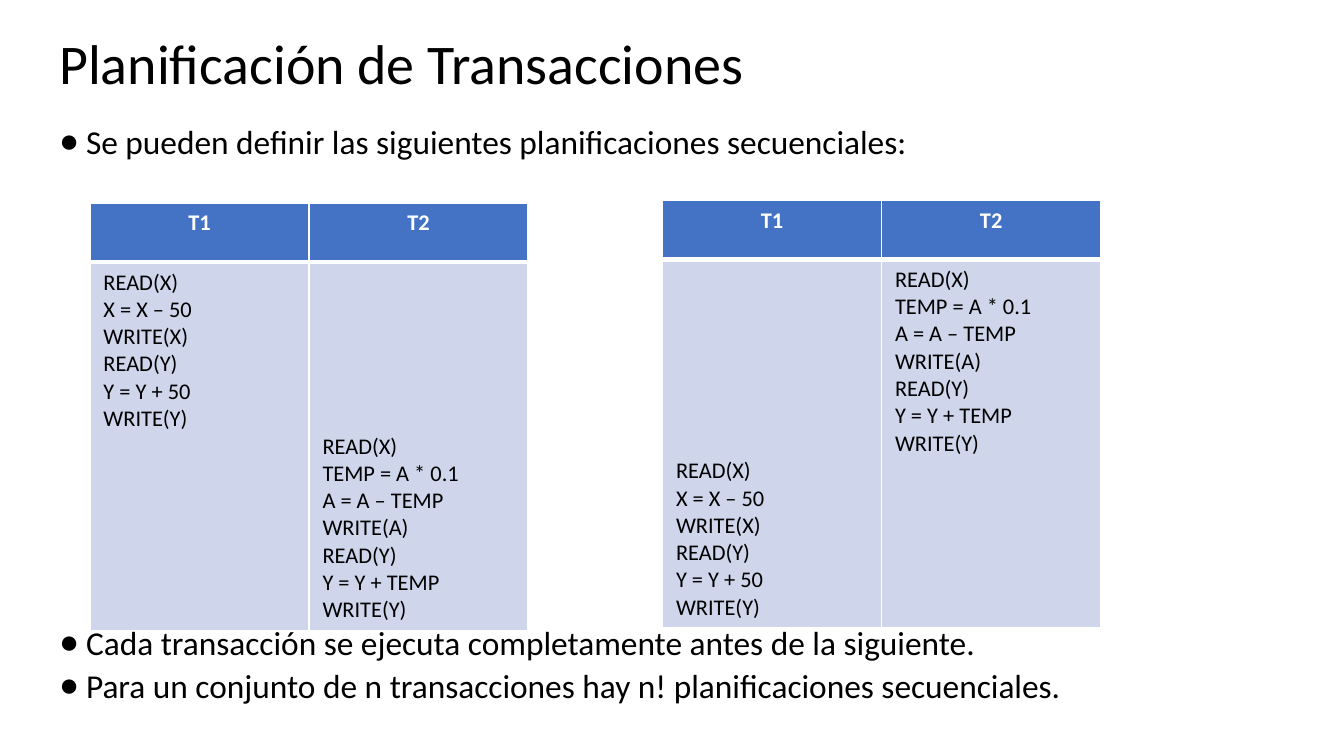
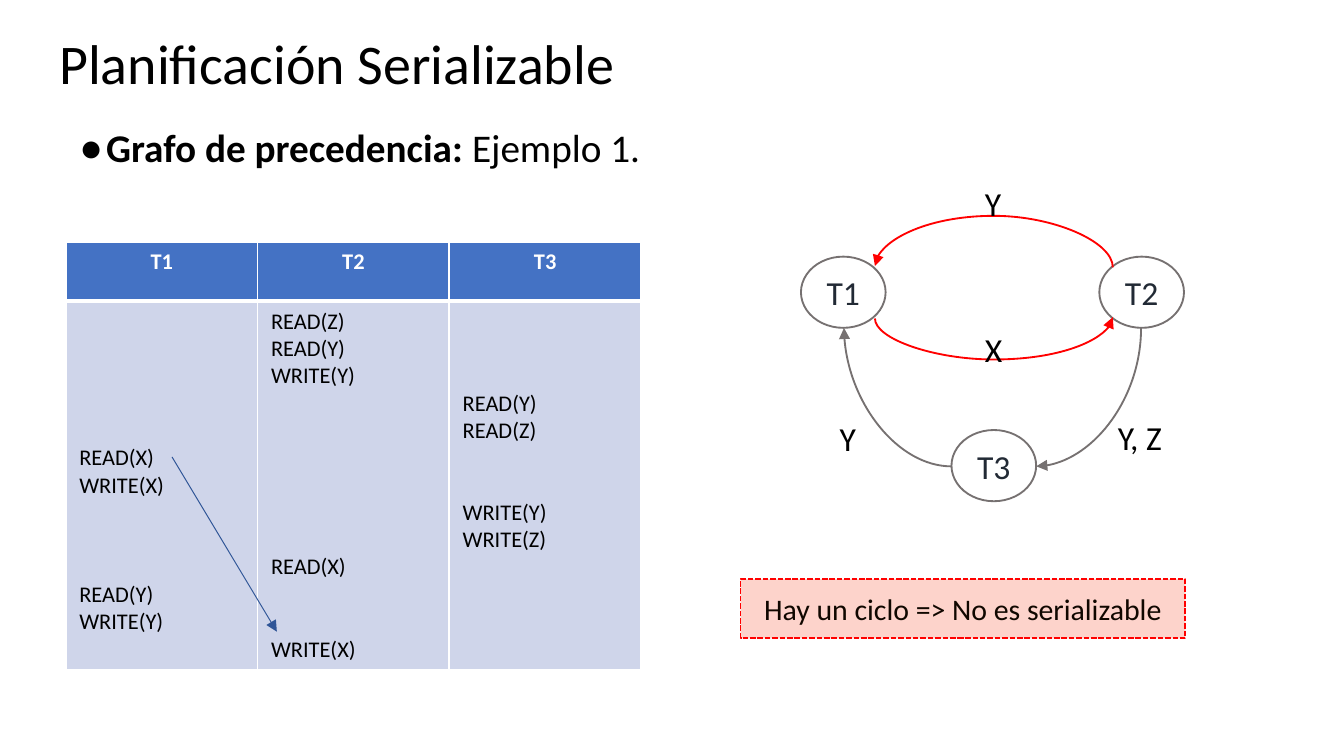
from lxml import etree
from pptx import Presentation
from pptx.dml.color import RGBColor
from pptx.enum.dml import MSO_LINE
from pptx.enum.shapes import MSO_CONNECTOR, MSO_SHAPE
from pptx.enum.text import MSO_ANCHOR, MSO_AUTO_SIZE, PP_ALIGN
from pptx.oxml.ns import qn
from pptx.util import Inches, Pt

BLACK = RGBColor(0x00, 0x00, 0x00)
WHITE = RGBColor(0xFF, 0xFF, 0xFF)
HEADER_BLUE = RGBColor(0x44, 0x72, 0xC4)
CELL_BLUE = RGBColor(0xCF, 0xD5, 0xEA)
ARROW_BLUE = RGBColor(0x2F, 0x55, 0x97)
NODE_GRAY = RGBColor(0x76, 0x71, 0x71)
NODE_TEXT = RGBColor(0x22, 0x2A, 0x35)
CYCLE_RED = RGBColor(0xFF, 0x00, 0x00)
VERDICT_FILL = RGBColor(0xFD, 0xD3, 0xCB)
VERDICT_TEXT = RGBColor(0x10, 0x07, 0x00)

CENTER, LEFT = PP_ALIGN.CENTER, PP_ALIGN.LEFT
MIDDLE, TOP = MSO_ANCHOR.MIDDLE, MSO_ANCHOR.TOP
FIXED_SIZE = MSO_AUTO_SIZE.NONE
OVAL, RECTANGLE = MSO_SHAPE.OVAL, MSO_SHAPE.RECTANGLE
STRAIGHT, CURVE = MSO_CONNECTOR.STRAIGHT, MSO_CONNECTOR.CURVE
DASHED = MSO_LINE.SQUARE_DOT

FONT = "Calibri"
LINE_PITCH = 14.65
HEADER_HEIGHT, STEPS_HEIGHT = 0.44, 2.74
PAD_X, PAD_Y = 0.1, 0.05
NODE_SIZE = (0.63, 0.53)
TRANSFER = ("READ(X)", "X = X – 50", "WRITE(X)", "READ(Y)", "Y = Y + 50", "WRITE(Y)")
PERCENT = ("READ(X)", "TEMP = A * 0.1", "A = A – TEMP", "WRITE(A)", "READ(Y)",
           "Y = Y + TEMP", "WRITE(Y)")


def style(paragraph, size, color=BLACK, bold=False, align=LEFT):
    paragraph.alignment = align
    for run in paragraph.runs:
        run.font.name = FONT
        run.font.size = Pt(size)
        run.font.bold = bold
        run.font.color.rgb = color


def place(shape, left, top, width, height):
    shape.left, shape.top = Inches(left), Inches(top)
    shape.width, shape.height = Inches(width), Inches(height)


def set_margins(frame, x, y):
    frame.margin_left = frame.margin_right = Inches(x)
    frame.margin_top = frame.margin_bottom = Inches(y)


def add_titled_slide(prs, title):
    slide = prs.slides.add_slide(prs.slide_layouts[1])
    heading = slide.shapes.title
    place(heading, 0.34, 0.17, 9.32, 0.69)
    frame = heading.text_frame
    frame.text = title
    frame.auto_size = FIXED_SIZE
    frame.vertical_anchor = TOP
    set_margins(frame, 0.1, 0.1)
    frame.paragraphs[0].line_spacing = 0.9
    style(frame.paragraphs[0], 30)
    return slide


def fill_list(slide, box, items, size, spacing):
    body = slide.placeholders[1]
    place(body, *box)
    frame = body.text_frame
    frame.text = "\n".join(text for text, _ in items)
    frame.auto_size = FIXED_SIZE
    frame.vertical_anchor = TOP
    set_margins(frame, 0.1, 0.1)
    for paragraph, (_, before) in zip(frame.paragraphs, items):
        props = paragraph._p.get_or_add_pPr()
        props.set("marL", str(Inches(0.2)))
        props.set("indent", str(Inches(-0.28)))
        etree.SubElement(props, qn("a:buChar")).set("char", "●")
        paragraph.line_spacing = spacing
        paragraph.space_before = Pt(before)
        style(paragraph, size)
    return frame.paragraphs


def set_borders(cell, top, bottom):
    props = cell._tc.get_or_add_tcPr()
    edges = (("L", 1), ("R", 1), ("T", top), ("B", bottom))
    for position, (edge, width) in enumerate(edges):
        line = etree.Element(qn(f"a:ln{edge}"), w=str(Pt(width)))
        fill = etree.SubElement(line, qn("a:solidFill"))
        etree.SubElement(fill, qn("a:srgbClr")).set("val", str(WHITE))
        props.insert(position, line)


def fill_cell(cell, text, color):
    cell.text_frame.text = text
    set_margins(cell, PAD_X, PAD_Y)
    cell.fill.solid()
    cell.fill.fore_color.rgb = color


def fill_steps(cell, blocks):
    fill_cell(cell, "\n".join(step for _, steps in blocks for step in steps), CELL_BLUE)
    set_borders(cell, 3, 1)
    paragraphs = iter(cell.text_frame.paragraphs)
    next_line = 0
    for start, steps in blocks:
        gap = Pt((start - next_line) * LINE_PITCH)
        for index, _ in enumerate(steps):
            paragraph = next(paragraphs)
            style(paragraph, 12)
            if index == 0 and next_line:
                paragraph.space_before = gap
            elif index == 0:
                cell.margin_top = Inches(PAD_Y) + gap
        next_line = start + len(steps)


def add_schedule(slide, left, top, width, columns):
    count = len(columns)
    table = slide.shapes.add_table(
        2, count, Inches(left), Inches(top), Inches(width),
        Inches(HEADER_HEIGHT + STEPS_HEIGHT)).table
    table.rows[0].height = Inches(HEADER_HEIGHT)
    table.rows[1].height = Inches(STEPS_HEIGHT)
    for index, blocks in enumerate(columns):
        table.columns[index].width = Inches(width / count)
        header = table.cell(0, index)
        fill_cell(header, f"T{index + 1}", HEADER_BLUE)
        set_borders(header, 1, 3)
        style(header.text_frame.paragraphs[0], 12, WHITE, True, CENTER)
        fill_steps(table.cell(1, index), blocks)


def add_box(slide, kind, box, text, size, color, line, fill=None):
    shape = slide.shapes.add_shape(kind, *(Inches(value) for value in box))
    shape.shadow.inherit = False
    if fill is None:
        shape.fill.background()
    else:
        shape.fill.solid()
        shape.fill.fore_color.rgb = fill
    shape.line.color.rgb = line
    shape.line.width = Pt(1)
    frame = shape.text_frame
    frame.text = text
    frame.vertical_anchor = MIDDLE
    set_margins(frame, PAD_X, PAD_Y)
    style(frame.paragraphs[0], size, color, align=CENTER)
    return shape


def add_label(slide, left, top, width, text):
    label = slide.shapes.add_textbox(Inches(left), Inches(top), Inches(width), Inches(0.34))
    frame = label.text_frame
    frame.word_wrap = False
    frame.text = text
    set_margins(frame, PAD_X, PAD_Y)
    style(frame.paragraphs[0], 18)


def add_arrow(slide, kind, start, end, color, width, arrow_end="tailEnd"):
    arrow = slide.shapes.add_connector(kind, *(Inches(value) for value in start + end))
    arrow.line.color.rgb = color
    arrow.line.width = Pt(width)
    line = arrow.line._get_or_add_ln()
    etree.SubElement(line, qn(f"a:{arrow_end}")).set("type", "triangle")
    etree.SubElement(arrow.element.spPr, qn("a:effectLst"))
    return arrow


def add_edge(slide, source, target, start, end, color, turn, bend=None,
             flip=False, arrow_end="tailEnd"):
    edge = add_arrow(slide, CURVE, start, end, color, 1, arrow_end)
    joints = edge.element.nvCxnSpPr.cNvCxnSpPr
    for tag, (node, site) in (("a:stCxn", source), ("a:endCxn", target)):
        joint = etree.SubElement(joints, qn(tag))
        joint.set("id", str(node.shape_id))
        joint.set("idx", str(site))
    width, height = abs(end[0] - start[0]), abs(end[1] - start[1])
    if turn in (90, 270):
        width, height = height, width
    place(edge, (start[0] + end[0] - width) / 2, (start[1] + end[1] - height) / 2,
          width, height)
    transform = edge.element.spPr.find(qn("a:xfrm"))
    for flag in ("flipH", "flipV"):
        transform.attrib.pop(flag, None)
    transform.set("rot", str(turn * 60000))
    if flip:
        transform.set("flipV", "1")
    geometry = edge.element.spPr.find(qn("a:prstGeom"))
    if bend is None:
        geometry.set("prst", "curvedConnector2")
    else:
        guide = etree.SubElement(geometry.find(qn("a:avLst")), qn("a:gd"))
        guide.set("name", "adj1")
        guide.set("fmla", f"val {bend * 100000}")


def build_sequential(prs):
    slide = add_titled_slide(prs, "Planificación de Transacciones")
    fill_list(slide, (0.34, 0.86, 9.32, 4.67), [
        ("Se pueden definir las siguientes planificaciones secuenciales:", 0),
        ("Cada transacción se ejecuta completamente antes de la siguiente.", 251),
        ("Para un conjunto de n transacciones hay n! planificaciones secuenciales.", 6),
    ], 17.9, 0.8)
    add_schedule(slide, 0.67, 1.51, 3.26, [[(0, TRANSFER)], [(6, PERCENT)]])
    add_schedule(slide, 4.93, 1.49, 3.26, [[(7, TRANSFER)], [(0, PERCENT)]])


def build_serializable(prs):
    slide = add_titled_slide(prs, "Planificación Serializable")
    topic, = fill_list(slide, (0.49, 0.86, 8.76, 0.71),
                       [("Grafo de precedencia: ", 0)], 21, 0.9)
    topic.add_run().text = "Ejemplo 1."
    style(topic, 21)
    topic.runs[0].font.bold = True
    topic.space_after = Pt(6)

    add_schedule(slide, 0.49, 1.8, 4.28, [
        [(5, ("READ(X)", "WRITE(X)")), (10, ("READ(Y)", "WRITE(Y)"))],
        [(0, ("READ(Z)", "READ(Y)", "WRITE(Y)")), (9, ("READ(X)",)), (12, ("WRITE(X)",))],
        [(3, ("READ(Y)", "READ(Z)")), (7, ("WRITE(Y)", "WRITE(Z)"))],
    ])
    t1, t2, t3 = (
        add_box(slide, OVAL, corner + NODE_SIZE, f"T{number}", 18, NODE_TEXT, NODE_GRAY)
        for number, corner in enumerate(((5.96, 1.91), (8.18, 1.91), (7.08, 3.2)), 1))
    add_edge(slide, (t2, 1), (t1, 7), (8.28, 1.99), (6.51, 1.98), CYCLE_RED, 270,
             bend=39, flip=True)
    add_arrow(slide, STRAIGHT, (1.28, 3.4), (2.06, 4.7), ARROW_BLUE, 0.5)
    add_edge(slide, (t2, 4), (t3, 6), (8.49, 2.44), (7.71, 3.47), NODE_GRAY, 90)
    add_edge(slide, (t3, 2), (t1, 4), (7.08, 3.47), (6.28, 2.44), NODE_GRAY, 180)
    add_edge(slide, (t2, 3), (t1, 5), (8.28, 2.36), (6.51, 2.37), CYCLE_RED, 90,
             bend=32, arrow_end="headEnd")
    for left, top, width, text in ((7.23, 1.31, 0.33, "Y"), (8.22, 3.05, 0.56, "Y, Z"),
                                   (6.15, 3.06, 0.33, "Y"), (7.23, 2.4, 0.33, "X")):
        add_label(slide, left, top, width, text)
    verdict = add_box(slide, RECTANGLE, (5.51, 4.31, 3.31, 0.44),
                      "Hay un ciclo => No es serializable", 16, VERDICT_TEXT,
                      CYCLE_RED, VERDICT_FILL)
    verdict.line.dash_style = DASHED


def main():
    prs = Presentation()
    prs.slide_width = Inches(10)
    prs.slide_height = prs.slide_width * 9 // 16
    build_sequential(prs)
    build_serializable(prs)
    prs.save("out.pptx")


if __name__ == "__main__":
    main()
